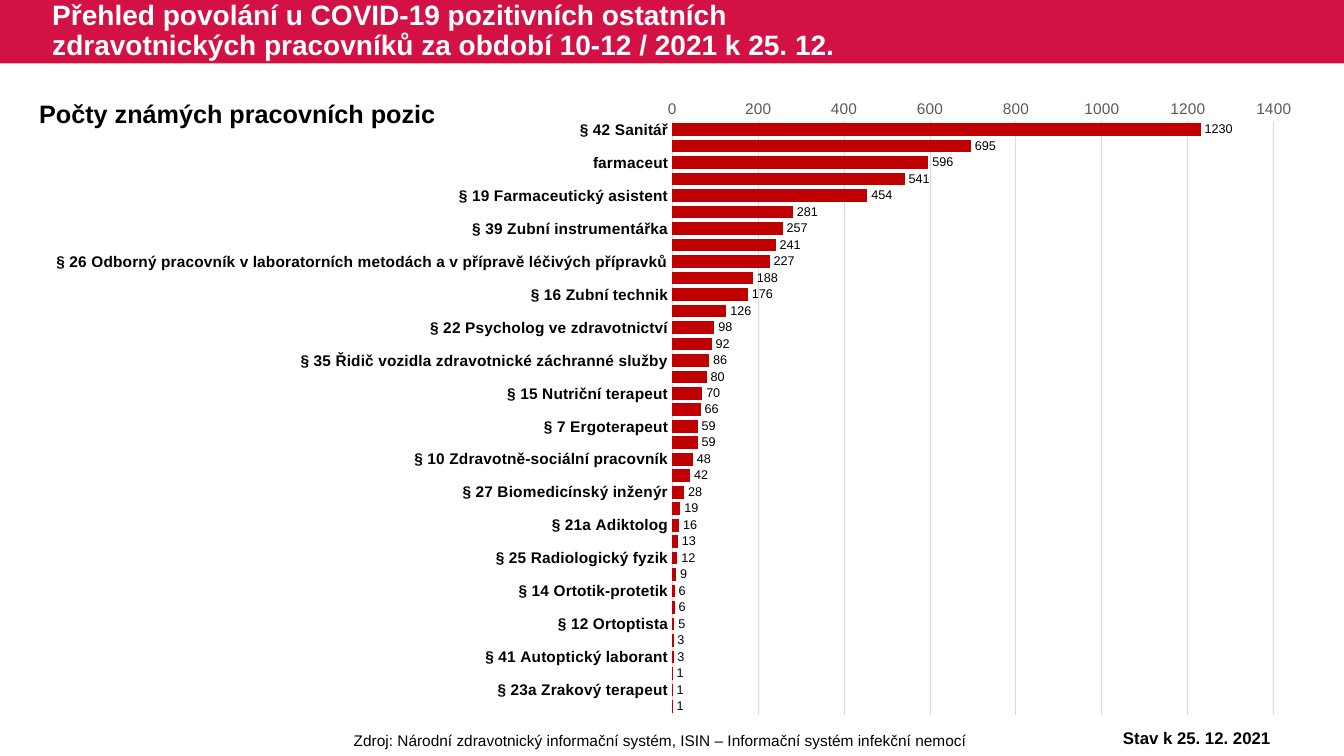
from dataclasses import dataclass

from lxml.etree import SubElement
from pptx import Presentation
from pptx.chart.data import CategoryChartData
from pptx.dml.color import RGBColor
from pptx.enum.chart import XL_CHART_TYPE, XL_LABEL_POSITION, XL_TICK_MARK
from pptx.enum.shapes import MSO_SHAPE
from pptx.enum.text import MSO_ANCHOR, PP_ALIGN
from pptx.oxml.ns import qn
from pptx.util import Inches, Pt


@dataclass(frozen=True)
class Theme:
    """Colours, font and type sizes of the slide."""
    face: str = "Arial"
    banner: str = "D31145"
    bar: str = "C00000"
    ink: str = "000000"
    paper: str = "FFFFFF"
    muted: str = "595959"
    rule: str = "D9D9D9"
    title: int = 20
    heading: int = 18
    status: int = 12
    body: int = 11
    value: int = 9
    hairline: float = 0.75


THEME = Theme()

POSITIONS = [
    ("§ 42 Sanitář", 1230),
    ("§ 24 Fyzioterapeut", 695),
    ("farmaceut", 596),
    ("§ 9 Zdravotní laborant", 541),
    ("§ 19 Farmaceutický asistent", 454),
    ("§ 36 Ošetřovatel", 281),
    ("§ 39 Zubní instrumentářka", 257),
    ("§ 18 Zdravotnický záchranář", 241),
    ("§ 26 Odborný pracovník v laboratorních metodách a v přípravě léčivých přípravků", 227),
    ("§ 8 Radiologický asistent", 188),
    ("§ 16 Zubní technik", 176),
    ("§ 40 Řidič zdravotnické dopravní služby", 126),
    ("§ 22 Psycholog ve zdravotnictví", 98),
    ("§ 17 Dentální hygienistka", 92),
    ("§ 35 Řidič vozidla zdravotnické záchranné služby", 86),
    ("§ 37 Masér ve zdravotnictví, nevidomý a slabozraký masér ve zdravotnictví", 80),
    ("§ 15 Nutriční terapeut", 70),
    ("§ 23 Logoped ve zdravotnictví", 66),
    ("§ 7 Ergoterapeut", 59),
    ("§ 11 Optometrista", 59),
    ("§ 10 Zdravotně-sociální pracovník", 48),
    ("§ 30 Laboratorní asistent", 42),
    ("§ 27 Biomedicínský inženýr", 28),
    ("§ 33 Asistent zubního technika", 19),
    ("§ 21a Adiktolog", 16),
    ("§ 28 Odborný pracovník v ochraně a podpoře veřejného zdraví", 13),
    ("§ 25 Radiologický fyzik", 12),
    ("§ 13 Asistent ochrany a podpory veřejného zdraví", 9),
    ("§ 14 Ortotik-protetik", 6),
    ("§ 20 Biomedicínský technik", 6),
    ("§ 12 Ortoptista", 5),
    ("§ 32 Nutriční asistent", 3),
    ("§ 41 Autoptický laborant", 3),
    ("§ 21 Radiologický technik", 1),
    ("§ 23a Zrakový terapeut", 1),
    ("§ 31 Ortoticko-protetický technik", 1),
]


def apply_format(target, values):
    """Set each attribute of the target from a dict."""
    for attribute, value in values.items():
        setattr(target, attribute, value)


def style_font(font, size, color, bold=False):
    """Give a font the theme face with a size, colour and weight."""
    apply_format(font, {"name": THEME.face, "size": Pt(size), "bold": bold})
    font.color.rgb = RGBColor.from_string(color)


def style_line(line):
    """Draw a line as a thin grey rule."""
    line.color.rgb = RGBColor.from_string(THEME.rule)
    line.width = Pt(THEME.hairline)


def add_label(slide, box, wording, size, color=THEME.ink, bold=False, frame=None, paragraph=None):
    """Place one paragraph of text in a box."""
    text_frame = slide.shapes.add_textbox(*map(Inches, box)).text_frame
    apply_format(text_frame, {"word_wrap": True, **(frame or {})})
    line = text_frame.paragraphs[0]
    apply_format(line, paragraph or {})
    run = line.add_run()
    run.text = wording
    style_font(run.font, size, color, bold)


def add_banner(slide, box):
    """Draw the title band with the slide title inside it."""
    left, top, width, height = box
    band = slide.shapes.add_shape(MSO_SHAPE.RECTANGLE, *map(Inches, box))
    band.shadow.inherit = False
    band.fill.solid()
    band.fill.fore_color.rgb = RGBColor.from_string(THEME.banner)
    band.line.fill.background()
    add_label(
        slide, (left + 0.42, top, 8.26, height),
        "Přehled povolání u COVID-19 pozitivních ostatních "
        "zdravotnických pracovníků za období 10-12 / 2021 k 25. 12.",
        THEME.title, THEME.paper, True,
        {"vertical_anchor": MSO_ANCHOR.MIDDLE}, {"line_spacing": 0.9},
    )


def fix_plot_area(chart, fractions):
    """Pin the inner plot area to fractions of the chart box."""
    plot_area = chart.element.chart.plotArea
    for automatic in plot_area.findall(qn("c:layout")):
        plot_area.remove(automatic)
    layout = SubElement(plot_area, qn("c:layout"))
    plot_area.insert(0, layout)
    manual = SubElement(layout, qn("c:manualLayout"))
    settings = {"layoutTarget": "inner", "xMode": "edge", "yMode": "edge",
                **dict(zip("xywh", fractions))}
    for tag, value in settings.items():
        SubElement(manual, qn(f"c:{tag}")).set("val", str(value))


def add_positions_chart(slide, box):
    """Draw the bar chart of cases by job position with its heading."""
    left, top, width, height = box
    counts = CategoryChartData()
    counts.categories = [position for position, _ in POSITIONS]
    counts.add_series("Počet", [count for _, count in POSITIONS])
    chart = slide.shapes.add_chart(
        XL_CHART_TYPE.BAR_CLUSTERED, *map(Inches, box), counts).chart
    apply_format(chart, {"has_legend": False, "has_title": False})
    style_font(chart.font, 10, THEME.ink)
    fix_plot_area(chart, (0.511, 0.063, 0.46, 0.917))

    ticks = {"major_tick_mark": XL_TICK_MARK.NONE, "minor_tick_mark": XL_TICK_MARK.NONE}
    apply_format(chart.category_axis, {**ticks, "reverse_order": True})
    style_font(chart.category_axis.tick_labels.font, THEME.body, THEME.ink, True)
    style_line(chart.category_axis.format.line)

    scale = {"minimum_scale": 0, "maximum_scale": 1400, "major_unit": 200}
    apply_format(chart.value_axis, {**ticks, **scale, "has_major_gridlines": True})
    style_font(chart.value_axis.tick_labels.font, THEME.body, THEME.muted)
    chart.value_axis.format.line.fill.background()
    style_line(chart.value_axis.major_gridlines.format.line)

    plot = chart.plots[0]
    apply_format(plot, {"gap_width": 30, "overlap": 100,
                        "vary_by_categories": False, "has_data_labels": True})
    apply_format(plot.data_labels, {"show_value": True,
                                    "position": XL_LABEL_POSITION.OUTSIDE_END})
    style_font(plot.data_labels.font, THEME.value, THEME.ink)
    bars = plot.series[0].format.fill
    bars.solid()
    bars.fore_color.rgb = RGBColor.from_string(THEME.bar)
    add_label(slide, (left + 0.25, top + 0.13, 4.16, 0.4), "Počty známých pracovních pozic",
              THEME.heading, bold=True, frame={"word_wrap": False})


def add_footer(slide, box):
    """Place the source and the status date along the bottom."""
    left, top, width, height = box
    centred = {"alignment": PP_ALIGN.CENTER}
    add_label(
        slide, (left + 2.36, top + 0.03, 8.38, height),
        "Zdroj: Národní zdravotnický informační systém, ISIN – Informační systém infekční nemocí",
        THEME.body, paragraph=centred)
    add_label(slide, (left + 10.77, top, 2.2, height), "Stav k 25. 12. 2021",
              THEME.status, bold=True, paragraph=centred)


def main():
    """Build the slide and save it."""
    deck = Presentation()
    apply_format(deck, {"slide_width": Inches(13.33), "slide_height": Inches(7.5)})
    slide = deck.slides.add_slide(deck.slide_layouts[6])
    add_banner(slide, (0, 0, 13.33, 0.63))
    add_positions_chart(slide, (0.04, 0.8, 12.97, 6.42))
    add_footer(slide, (0, 7.17, 13.33, 0.3))
    deck.save("out.pptx")


if __name__ == "__main__":
    main()
